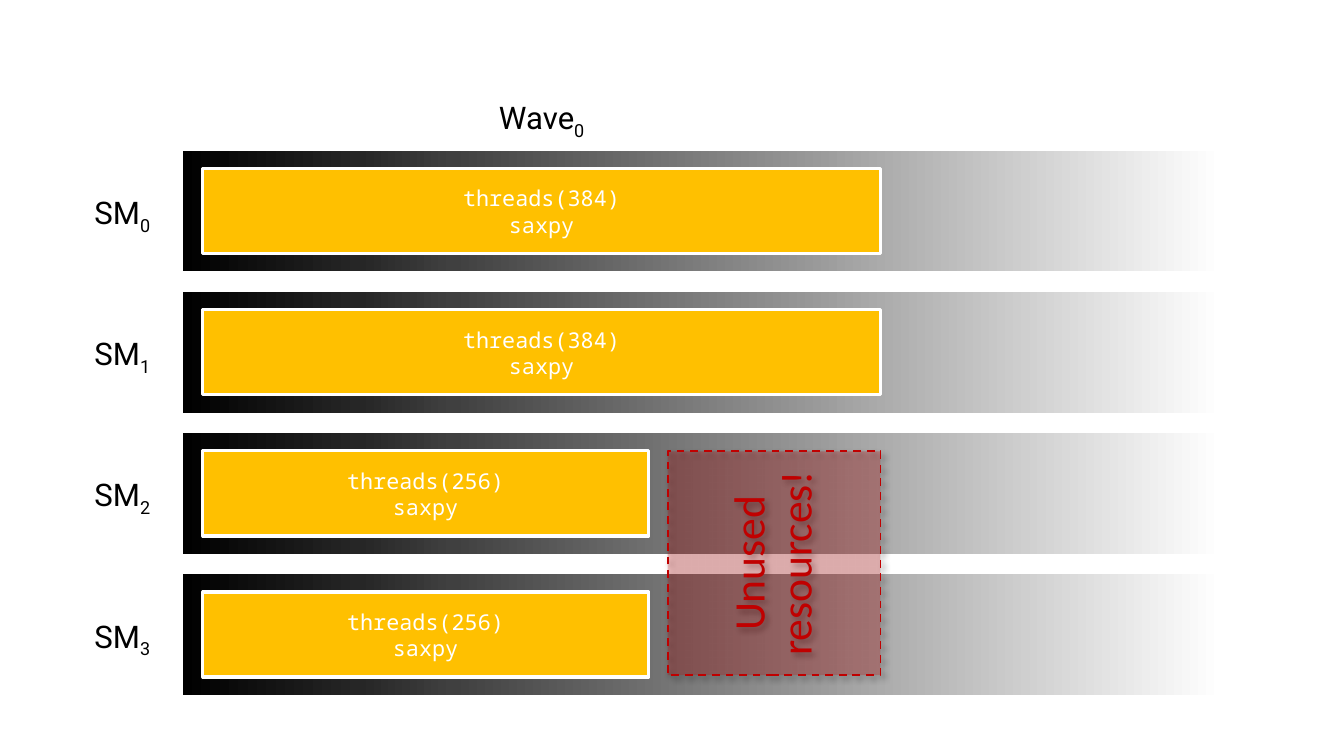
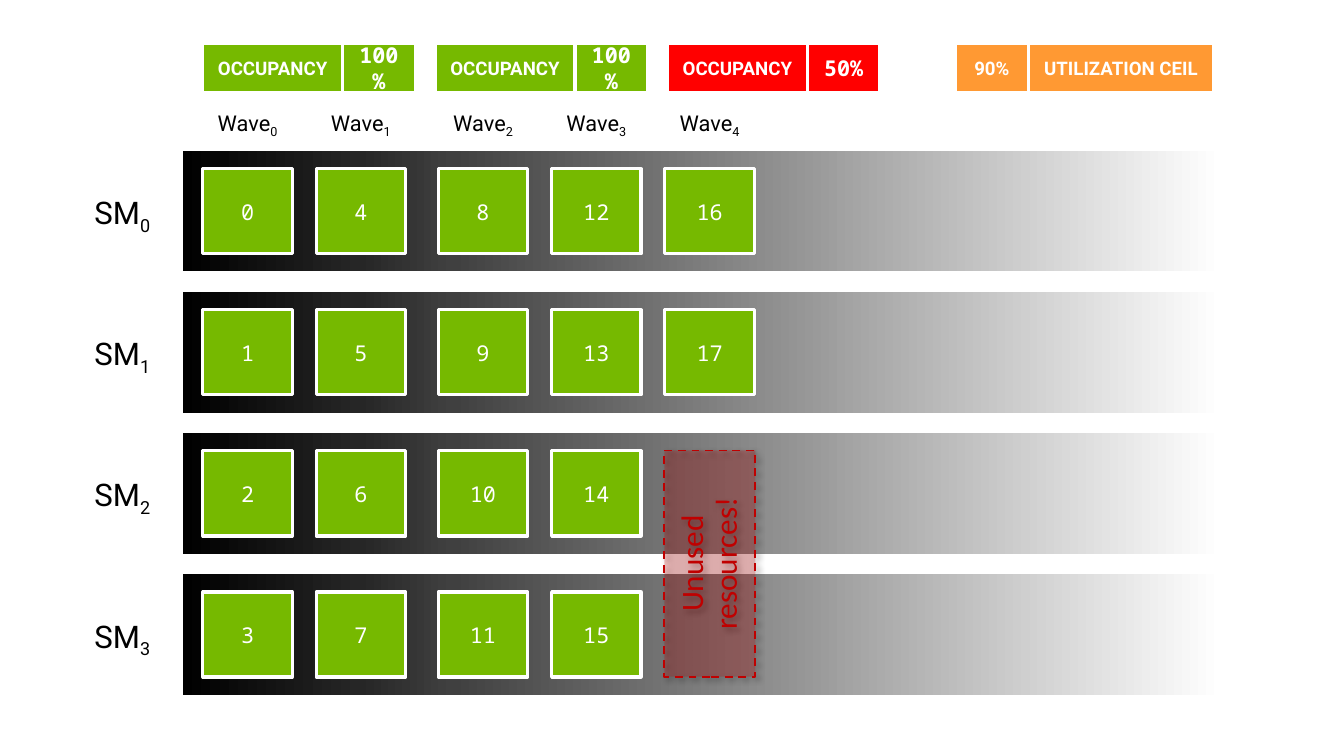
from lxml import etree
from pptx import Presentation
from pptx.dml.color import RGBColor
from pptx.enum.dml import MSO_LINE
from pptx.enum.shapes import MSO_SHAPE
from pptx.enum.text import MSO_ANCHOR, MSO_AUTO_SIZE, PP_ALIGN
from pptx.oxml.ns import qn
from pptx.util import Cm, Pt

RECTANGLE = MSO_SHAPE.RECTANGLE
DASH = MSO_LINE.DASH
MIDDLE = MSO_ANCHOR.MIDDLE
FIT_SHAPE = MSO_AUTO_SIZE.SHAPE_TO_FIT_TEXT
CENTER = PP_ALIGN.CENTER
rgb = RGBColor.from_string

BLACK, WHITE = "000000", "FFFFFF"
GREEN, AMBER, ORANGE = "76B900", "FFC000", "FF9933"
RED, DARK_RED = "FF0000", "C00000"
SANS, MONO, WARNING_FONT = "Roboto", "Noto Sans Mono", "Calibri"
BAND_STOPS = [(0, WHITE), (74, "404040"), (83, "262626"), (100, BLACK)]

# Lengths in cm
SM_COUNT = 4
BAND_TOP, BAND_PITCH = 3.42, 3.2
BLOCK_LEFT, BLOCK_INSET, BLOCK_HEIGHT = 4.6, 0.41, 1.93
FULL_WIDTH, PARTIAL_WIDTH, SMALL_WIDTH = 15.37, 10.11, 2.03
block_tops = [BAND_TOP + BLOCK_INSET + sm * BAND_PITCH for sm in range(SM_COUNT)]


def add_box(slide, left, top, width, height, text, fill, size,
            font=MONO, bold=False, color=WHITE):
    """Add an outlined rectangle with centred text."""
    box = slide.shapes.add_shape(RECTANGLE, Cm(left), Cm(top), Cm(width), Cm(height))
    box.shadow.inherit = False
    box.fill.solid()
    box.fill.fore_color.rgb = rgb(fill)
    box.line.color.rgb = rgb(WHITE)
    box.line.width = Pt(2)
    box.text_frame.word_wrap = True
    box.text_frame.vertical_anchor = MIDDLE
    paragraph = box.text_frame.paragraphs[0]
    paragraph.text = text
    paragraph.alignment = CENTER
    paragraph.font.name = font
    paragraph.font.size = Pt(size)
    paragraph.font.bold = bold
    paragraph.font.color.rgb = rgb(color)
    return box


def add_indexed_label(slide, left, top, width, height, name, index, size):
    """Add a text label with its index as a subscript."""
    label = slide.shapes.add_textbox(Cm(left), Cm(top), Cm(width), Cm(height))
    label.text_frame.word_wrap = True
    label.text_frame.auto_size = FIT_SHAPE
    paragraph = label.text_frame.paragraphs[0]
    paragraph.alignment = CENTER
    paragraph.font.name = SANS
    paragraph.font.size = Pt(size)
    paragraph.font.color.rgb = rgb(BLACK)
    paragraph.add_run().text = name
    subscript = paragraph.add_run()
    subscript.text = str(index)
    subscript.font._element.set("baseline", "-25000")


prs = Presentation()
prs.slide_width, prs.slide_height = Cm(30.48), Cm(17.15)
blank = prs.slide_layouts[6]
single_wave = prs.slides.add_slide(blank)
many_waves = prs.slides.add_slide(blank)

# Fading band and label for each SM
for slide in (single_wave, many_waves):
    for sm in range(SM_COUNT):
        top = BAND_TOP + sm * BAND_PITCH
        band = slide.shapes.add_shape(RECTANGLE, Cm(4.14), Cm(top), Cm(23.57), Cm(2.74))
        band.shadow.inherit = False
        band.line.fill.background()
        band.fill.gradient()
        band.fill.gradient_angle = 180
        stops = band._element.spPr.find(".//" + qn("a:gsLst"))
        for default_stop in list(stops):
            stops.remove(default_stop)
        for position, color in BAND_STOPS:
            stop = etree.SubElement(stops, qn("a:gs"), pos=str(position * 1000))
            etree.SubElement(stop, qn("a:srgbClr"), val=color)
        add_indexed_label(slide, 1.63, top + 0.85, 2.29, 1.12, "SM", sm, 20)

# Slide 1: one wave of large blocks
add_indexed_label(single_wave, BLOCK_LEFT, 2.11, FULL_WIDTH, 1.12, "Wave", 0, 20)
for sm, top in enumerate(block_tops):
    threads, width = (384, FULL_WIDTH) if sm < 2 else (256, PARTIAL_WIDTH)
    add_box(single_wave, BLOCK_LEFT, top, width, BLOCK_HEIGHT,
            f"threads({threads})\vsaxpy", AMBER, 14)

# Slide 2: 18 numbered blocks in five waves, with a wider gap after each pair
BLOCK_COUNT = 18
for wave in range(5):
    left = BLOCK_LEFT + 2.57 * wave + (0.2 if wave >= 2 else 0)
    add_indexed_label(many_waves, left, 2.36, SMALL_WIDTH, 0.86, "Wave", wave, 14)
    for sm, top in enumerate(block_tops):
        block = wave * SM_COUNT + sm
        if block < BLOCK_COUNT:
            add_box(many_waves, left, top, SMALL_WIDTH, BLOCK_HEIGHT, str(block), GREEN, 14)

BADGE_TOP, BADGE_HEIGHT, PERCENT_WIDTH = 0.98, 1.12, 1.65
for pair, (percent, color) in enumerate([("100%", GREEN), ("100%", GREEN), ("50%", RED)]):
    left = BLOCK_LEFT + 5.27 * pair
    add_box(many_waves, left, BADGE_TOP, 3.17, BADGE_HEIGHT,
            "OCCUPANCY", color, 12, SANS, True)
    add_box(many_waves, left + 3.17, BADGE_TOP, PERCENT_WIDTH, BADGE_HEIGHT,
            percent, color, 14, MONO, True)
for left, width, text in [(21.67, PERCENT_WIDTH, "90%"), (23.33, 4.19, "UTILIZATION CEIL")]:
    add_box(many_waves, left, BADGE_TOP, width, BADGE_HEIGHT, text, ORANGE, 12, SANS, True)

# Translucent warning over the idle SMs
for slide, left, top, width, height, size in [
    (single_wave, 15.14, 10.24, 4.83, 5.08, 28),
    (many_waves, 15.07, 10.22, 2.06, 5.13, 20),
]:
    unused = add_box(slide, left, top, width, height, "Unused resources!",
                     DARK_RED, size, WARNING_FONT, color=DARK_RED)
    unused.line.color.rgb = rgb(DARK_RED)
    unused.line.width = Pt(1.25)
    unused.line.dash_style = DASH
    unused.text_frame.auto_size = FIT_SHAPE
    unused.text_frame.paragraphs[0].line_spacing = 0.9
    unused.text_frame._txBody.bodyPr.set("vert", "vert270")
    properties = unused._element.spPr
    fill_color = properties.find(qn("a:solidFill")).find(qn("a:srgbClr"))
    etree.SubElement(fill_color, qn("a:alpha"), val="25000")
    shadow = etree.SubElement(properties.find(qn("a:effectLst")), qn("a:outerShdw"),
                              blurRad=str(Pt(4)), dist=str(Pt(3)), dir="2700000")
    shadow_color = etree.SubElement(shadow, qn("a:srgbClr"), val=BLACK)
    etree.SubElement(shadow_color, qn("a:alpha"), val="40000")

prs.save("out.pptx")
